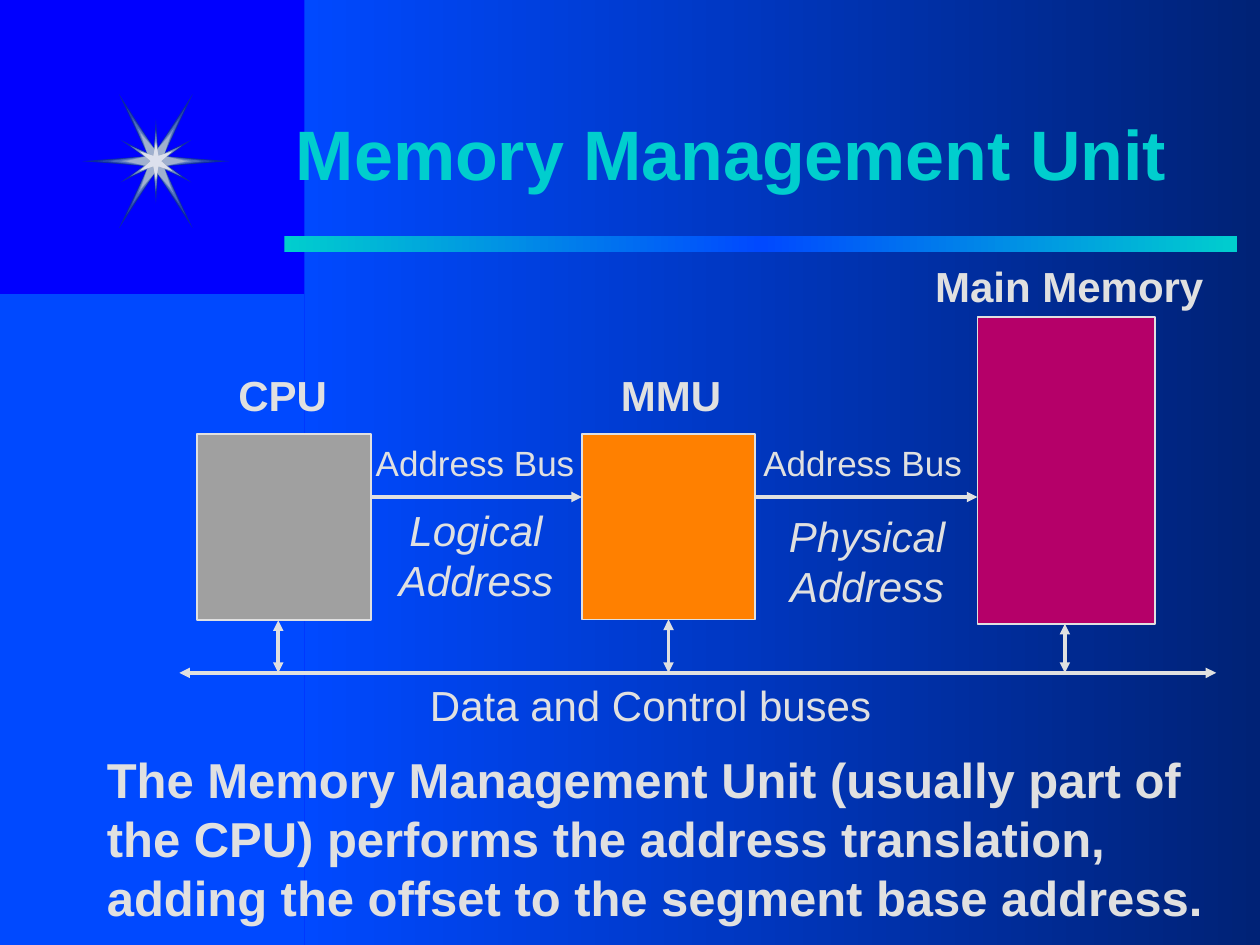
import dataclasses

import pptx
import pptx.dml.color
import pptx.enum.shapes
import pptx.enum.text
import pptx.oxml.ns
import pptx.util
from lxml import etree

Pt = pptx.util.Pt
RGB = pptx.dml.color.RGBColor.from_string
qn = pptx.oxml.ns.qn
Align = pptx.enum.text.PP_ALIGN
Anchor = pptx.enum.text.MSO_ANCHOR


@dataclasses.dataclass(frozen=True)
class Theme:
    font: str = "Arial"
    background: str = "0000FF"
    blue: str = "0049FF"
    navy: str = "002276"
    accent: str = "00CECE"
    text: str = "E0E0E0"
    shadow: str = "001A55"
    cpu: str = "A0A0A0"
    mmu: str = "FF8000"
    memory: str = "B50069"
    title_size: int = 40
    body_size: int = 28
    label_size: int = 24
    bus_size: int = 20
    leading: float = 1.2


class Deck:
    """Draws styled elements on the current slide, with lengths in points."""

    def __init__(self, theme, s):
        self.theme = theme
        self.s = s
        s.background.fill.solid()
        s.background.fill.fore_color.rgb = RGB(theme.background)

    def rect(self, x, y, w, h, colors, outlined=False):
        sp = self.s.shapes.add_shape(
            pptx.enum.shapes.MSO_SHAPE.RECTANGLE, Pt(x), Pt(y), Pt(w), Pt(h))
        sp.shadow.inherit = False
        if len(colors) == 1:
            sp.fill.solid()
            sp.fill.fore_color.rgb = RGB(colors[0])
        else:
            self.gradient(sp, colors)
        if outlined:
            sp.line.color.rgb = RGB(self.theme.text)
            sp.line.width = Pt(1)
        else:
            sp.line.fill.background()

    def gradient(self, sp, colors):
        sp.fill.gradient()
        sp.fill.gradient_angle = 0
        stops = next(sp._element.iter(qn("a:gsLst")))
        for stop in list(stops):
            stops.remove(stop)
        for i, color in enumerate(colors):
            stop = etree.SubElement(
                stops, qn("a:gs"), pos=str(100000 * i // (len(colors) - 1)))
            etree.SubElement(stop, qn("a:srgbClr"), val=color)

    def star(self, cx, cy, quarter, color):
        right = quarter + [(x, -y) for x, y in reversed(quarter) if y]
        points = right + [(-x, y) for x, y in reversed(right) if x]
        points = [(Pt(cx + x), Pt(cy + y)) for x, y in points]
        builder = self.s.shapes.build_freeform(*points[0])
        builder.add_line_segments(points[1:], close=True)
        sp = builder.convert_to_shape()
        sp.shadow.inherit = False
        sp.fill.solid()
        sp.fill.fore_color.rgb = RGB(color)
        sp.line.fill.background()

    def arrow(self, x1, y1, x2, y2, both=True):
        c = self.s.shapes.add_connector(
            pptx.enum.shapes.MSO_CONNECTOR.STRAIGHT, Pt(x1), Pt(y1), Pt(x2), Pt(y2))
        c.line.color.rgb = RGB(self.theme.text)
        c.line.width = Pt(2)
        ln = c.line._get_or_add_ln()
        for end in ("a:headEnd", "a:tailEnd") if both else ("a:tailEnd",):
            etree.SubElement(ln, qn(end), type="triangle")
        etree.SubElement(c._element.spPr, qn("a:effectLst"))

    def text(self, x, y, w, h, lines, size, color=None, bold=False, italic=False,
             align=Align.CENTER, anchor=Anchor.TOP, wrap=True):
        tf = self.s.shapes.add_textbox(Pt(x), Pt(y), Pt(w), Pt(h)).text_frame
        tf.word_wrap = wrap
        tf.vertical_anchor = anchor
        tf.text = "\n".join(lines)
        for p in tf.paragraphs:
            p.alignment = align
            p.line_spacing = Pt(round(size * self.theme.leading, 1))
            p.font.name = self.theme.font
            p.font.size = Pt(size)
            p.font.bold = bold
            p.font.italic = italic
            p.font.color.rgb = RGB(color or self.theme.text)
        return tf

    def shadow_text(self, tf):
        for r in tf.paragraphs[0].runs:
            effects = etree.SubElement(r._r.get_or_add_rPr(), qn("a:effectLst"))
            shadow = etree.SubElement(effects, qn("a:outerShdw"),
                                      dist="25400", dir="2700000")
            etree.SubElement(shadow, qn("a:srgbClr"), val=self.theme.shadow)


def long_star(w):
    return [(0, -5.8), (w / 2, -0.91 * w), (4.3, -2.9), (w, 0)]


def short_star(w):
    return [(0, -1.2 * w), (1.4, -2.9), (w, -0.6 * w), (2.9, 0)]


STARS = [
    (long_star, 42.1, "0B2B9E"), (short_star, 20.2, "102FA1"),
    (long_star, 33.8, "2645AC"), (short_star, 14.8, "4464B9"),
    (long_star, 27.4, "4464B9"), (short_star, 14, "4E6EBC"),
    (long_star, 25.6, "4E6EBC"), (short_star, 13.3, "5A79C0"),
    (short_star, 11.9, "7992C6"), (long_star, 20.5, "7992C6"),
    (long_star, 17.3, "A0B0CE"), (short_star, 9.4, "D9D9D9"),
    (short_star, 8.6, "DCE0ED"),
]


def main():
    prs = pptx.Presentation()
    prs.slide_width, prs.slide_height = Pt(720), Pt(540)
    t = Theme()
    d = Deck(t, prs.slides.add_slide(prs.slide_layouts[6]))

    d.rect(0, 168, 174, 372, [t.blue])
    d.rect(174, 0, 546, 540, [t.blue, t.navy])
    d.rect(162.5, 135, 544.5, 9, [t.accent, t.blue, t.accent])
    for outline, w, color in STARS:
        d.star(89.1, 92.1, outline(w), color)

    title = d.text(162, 42, 546, 90, ["Memory Management Unit"], t.title_size,
                   t.accent, bold=True, align=Align.LEFT, anchor=Anchor.MIDDLE)
    d.shadow_text(title)

    bus_y = 384.5
    units = [
        (112.5, 248, 99.5, 106.5, t.cpu, 159),
        (332.5, 248, 99, 106, t.mmu, 382),
        (558.5, 181, 101.5, 175.5, t.memory, 608.5),
    ]
    for x, y, w, h, color, link_x in units:
        d.rect(x, y, w, h, [color], outlined=True)
        d.arrow(link_x, y + h, link_x, bus_y)
    d.arrow(102.5, bus_y, 695, bus_y)
    for left, right in zip(units, units[1:]):
        d.arrow(left[0] + left[2], 284, right[0], 284, both=False)

    labels = [("CPU", 113.5, 207.5, 96), ("MMU", 333.5, 207.5, 100),
              ("Main Memory", 527, 145.5, 168)]
    for label, x, y, w in labels:
        d.text(x, y, w, 36, [label], t.label_size, bold=True, wrap=False)
    for x, w in ((207.5, 128), (428, 130)):
        d.text(x, 248.5, w, 31, ["Address Bus"], t.bus_size, wrap=False)
    for kind, x, y, w in (("Logical", 211.5, 284.5, 121), ("Physical", 432.5, 288, 126)):
        d.text(x, y, w, 65, [kind, "Address"], t.label_size, italic=True)
    d.text(238.5, 384.5, 266.5, 36, ["Data and Control buses"], t.label_size, wrap=False)
    d.text(54, 425, 646.5, 115,
           ["The Memory Management Unit (usually part of the CPU) performs the address "
            "translation, adding the offset to the segment base address."],
           t.body_size, bold=True, align=Align.LEFT)
    prs.save("out.pptx")


if __name__ == "__main__":
    main()
